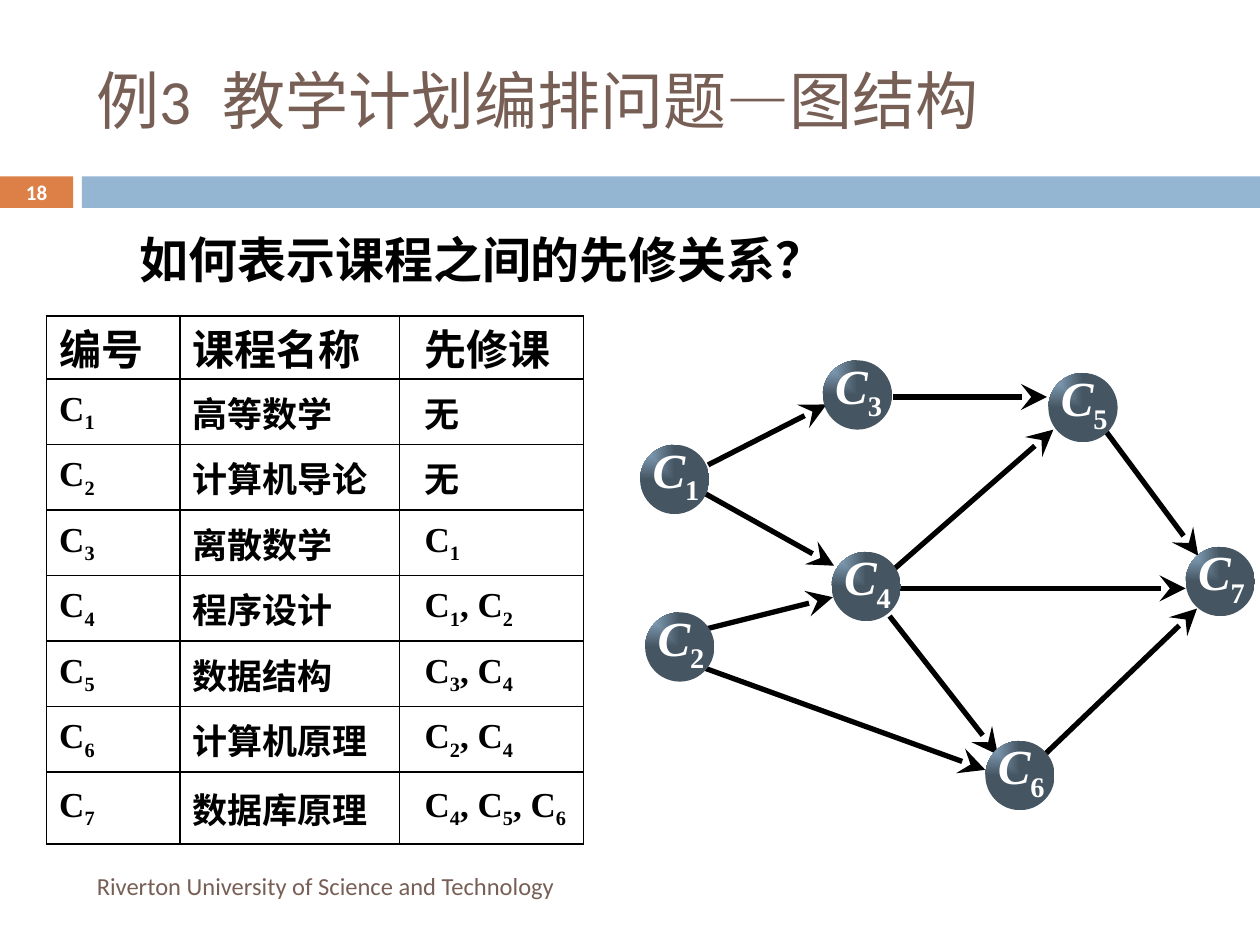
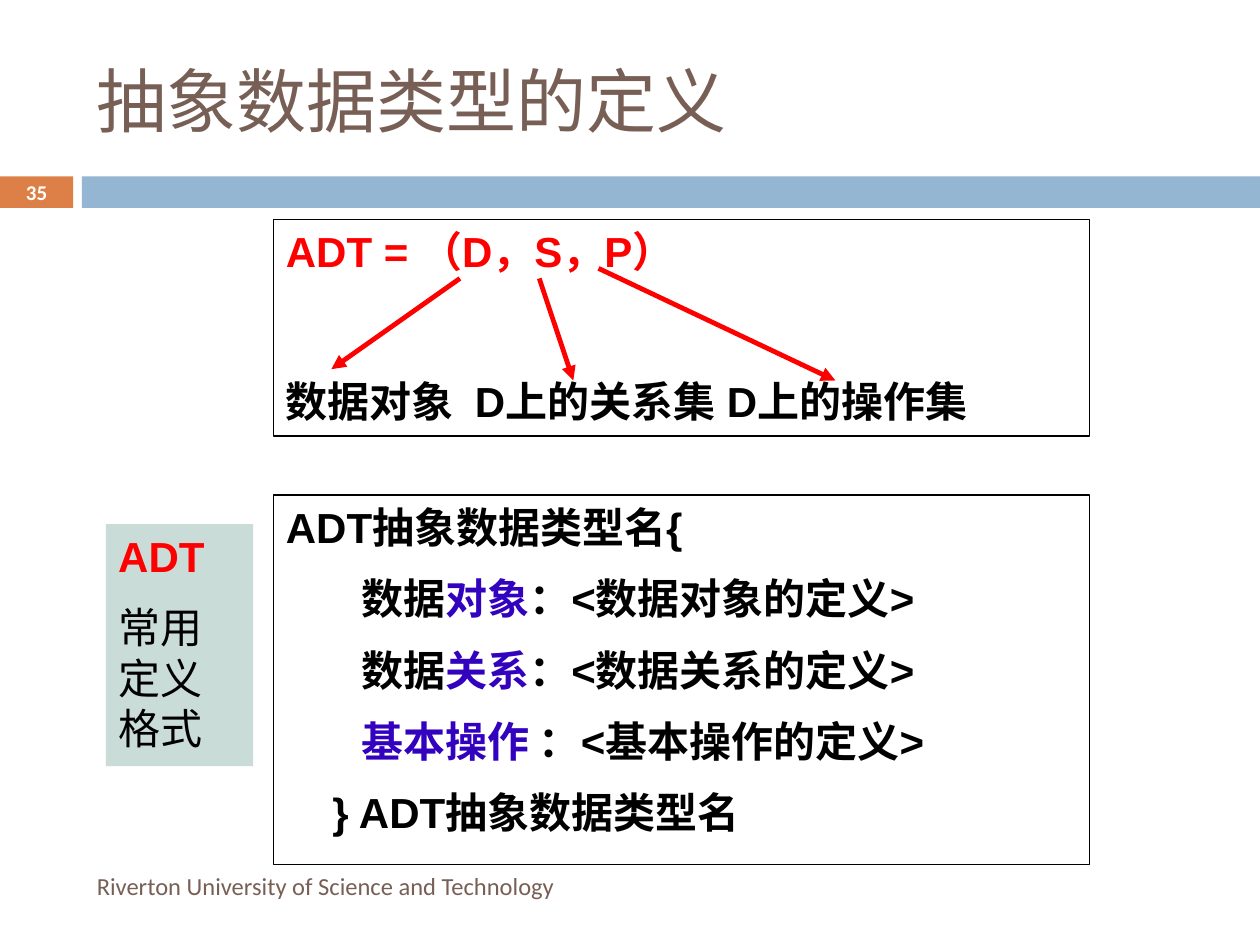
from dataclasses import dataclass
from itertools import groupby
from typing import NamedTuple

from lxml.etree import SubElement
from pptx import Presentation
from pptx.dml.color import RGBColor
from pptx.enum.shapes import MSO_CONNECTOR as Link, MSO_SHAPE as Preset
from pptx.enum.text import MSO_ANCHOR as Anchor, PP_ALIGN as Align
from pptx.oxml.ns import qn
from pptx.util import Inches, Pt

COLORS = {
    "brown": "775F55", "orange": "DD8047", "blue": "94B6D2", "slate": "455562",
    "mint": "CADCD8", "red": "FF0000", "violet": "3302BE",
    "black": "000000", "white": "FFFFFF",
}
FOOTER = "Riverton University of Science and Technology"

# Text formats
TITLE = {"name": "Calibri", "size": 40, "color": "brown"}
FOOT = {"name": "Calibri", "size": 14, "color": "brown"}
NUMBER = {"name": "Calibri", "size": 12, "bold": True, "color": "white"}
COURSE = {"name": "Times New Roman", "size": 20, "bold": True, "color": "black"}
HEADING = COURSE | {"size": 24}
QUESTION = COURSE | {"size": 28}
NODE = QUESTION | {"italic": True, "color": "white"}
ADT = {"name": "Arial", "size": 24, "bold": True, "color": "black"}
ADT_RED = ADT | {"color": "red"}
ADT_KEY = ADT | {"color": "violet"}


class Span(NamedTuple):
    text: str
    style: dict
    subscript: bool = False


@dataclass
class Para:
    spans: list[Span]
    before: float = 0
    indent: float = 0
    tabs: tuple[float, ...] = ()
    align: Align = Align.LEFT


@dataclass
class Box:
    left: float
    top: float
    width: float
    height: float
    fill: str | None = None
    line: str | None = None
    preset: Preset = Preset.RECTANGLE
    anchor: Anchor = Anchor.TOP

    def extent(self) -> list:
        return [Inches(v) for v in (self.left, self.top, self.width, self.height)]


class Arrow(NamedTuple):
    start: tuple[float, float]
    end: tuple[float, float]


class Course(NamedTuple):
    code: str
    name: str
    required: str


def rgb(color: str) -> RGBColor:
    return RGBColor.from_string(COLORS[color])


def subscripted(text: str, style: dict) -> list[Span]:
    """Set every digit of a course code as a subscript."""
    return [Span("".join(part), style | ({"italic": False} if low else {}), low)
            for low, part in groupby(text, str.isdigit)]


def write(frame, paras: list[Para]) -> None:
    for index, para in enumerate(paras):
        line = frame.paragraphs[0] if index == 0 else frame.add_paragraph()
        line.alignment = para.align
        line.space_before = Pt(para.before)
        props = line._p.get_or_add_pPr()
        props.set("marL", str(Inches(para.indent)))
        props.set("indent", "0")
        if para.tabs:
            stops = SubElement(props, qn("a:tabLst"))
            for stop in para.tabs:
                SubElement(stops, qn("a:tab"), pos=str(Inches(stop)), algn="l")
        for span in para.spans:
            run = line.add_run()
            run.text = span.text
            for key, value in span.style.items():
                if key == "color":
                    run.font.color.rgb = rgb(value)
                else:
                    setattr(run.font, key, Pt(value) if key == "size" else value)
            if span.subscript:
                run._r.get_or_add_rPr().set("baseline", "-25000")


def draw_box(slide, box: Box, paras: list[Para] = ()):
    shape = slide.shapes.add_shape(box.preset, *box.extent())
    shape.shadow.inherit = False
    if box.fill:
        shape.fill.solid()
        shape.fill.fore_color.rgb = rgb(box.fill)
    else:
        shape.fill.background()
    if box.line:
        shape.line.color.rgb = rgb(box.line)
        shape.line.width = Pt(0.75)
    else:
        shape.line.fill.background()
    shape.text_frame.word_wrap = True
    shape.text_frame.vertical_anchor = box.anchor
    write(shape.text_frame, paras)
    return shape


def draw_text(slide, box: Box, paras: list[Para]) -> None:
    frame = slide.shapes.add_textbox(*box.extent()).text_frame
    frame.word_wrap = True
    frame.vertical_anchor = box.anchor
    write(frame, paras)


def draw_arrow(slide, arrow: Arrow, color: str, width: float, head: str, size: str) -> None:
    ends = [Inches(v) for v in (*arrow.start, *arrow.end)]
    link = slide.shapes.add_connector(Link.STRAIGHT, *ends)
    link.line.color.rgb = rgb(color)
    link.line.width = Pt(width)
    SubElement(link.line._get_or_add_ln(), qn("a:tailEnd"), type=head, w=size, len=size)
    SubElement(link._element.spPr, qn("a:effectLst"))


def draw_node(slide, code: str, left: float, top: float) -> None:
    node = draw_box(slide, Box(left, top, 0.55, 0.55, preset=Preset.OVAL, anchor=Anchor.MIDDLE),
                    [Para(subscripted(code, NODE), align=Align.CENTER)])
    node.fill.gradient()
    for stop, color in zip(node.fill.gradient_stops, ("blue", "slate")):
        stop.color.rgb = rgb(color)
    gradient = node._element.spPr.find(qn("a:gradFill"))
    gradient.remove(gradient.find(qn("a:lin")))
    focus = SubElement(gradient, qn("a:path"), path="rect")
    SubElement(focus, qn("a:fillToRect"), r="100000", b="100000")
    frame = node.text_frame
    frame.word_wrap = False
    for side, margin in {"left": 0.02, "right": 0, "top": 0, "bottom": 0.1}.items():
        setattr(frame, f"margin_{side}", Inches(margin))


def border(cell) -> None:
    props = cell._tc.get_or_add_tcPr()
    for side in ("lnL", "lnR", "lnT", "lnB"):
        edge = SubElement(props, qn(f"a:{side}"), w=str(Pt(1)))
        SubElement(SubElement(edge, qn("a:solidFill")), qn("a:srgbClr"), val=COLORS["black"])


def draw_courses(slide, courses: list[Course]) -> None:
    widths = (1.06, 1.74, 1.46)
    heights = [0.5] + [0.52] * (len(courses) - 2) + [0.57]
    area = Box(0.37, 2.51, sum(widths), sum(heights))
    table = slide.shapes.add_table(len(courses), len(widths), *area.extent()).table
    table.first_row = table.horz_banding = False
    for column, width in zip(table.columns, widths):
        column.width = Inches(width)
    for index, (row, course) in enumerate(zip(table.rows, courses)):
        row.height = Inches(heights[index])
        style = HEADING if index == 0 else COURSE
        for cell, text, inset in zip(row.cells, course, (0.1, 0.1, 0.2)):
            border(cell)
            cell.fill.background()
            cell.vertical_anchor = Anchor.MIDDLE
            cell.margin_left = Inches(inset)
            cell.margin_top = cell.margin_bottom = cell.margin_right = 0
            write(cell.text_frame, [Para(subscripted(text, style))])


def start_slide(deck, title: Para, number: int):
    """Add a blank slide with its title, bands, page number and footer."""
    slide = deck.slides.add_slide(deck.slide_layouts[6])
    draw_box(slide, Box(0, 1.4, 0.58, 0.25, "orange", anchor=Anchor.MIDDLE),
             [Para([Span(str(number), NUMBER)], align=Align.CENTER)])
    draw_box(slide, Box(0.65, 1.4, 9.35, 0.25, "blue"))
    draw_text(slide, Box(0.67, 0.25, 8.92, 1.08, anchor=Anchor.MIDDLE), [title])
    draw_text(slide, Box(0.67, 6.83, 5.93, 0.4, anchor=Anchor.MIDDLE),
              [Para([Span(FOOTER, FOOT)])])
    return slide


# Course plan: table and prerequisite graph
COURSES = [
    Course("编号", "课程名称", "先修课"),
    Course("C1", "高等数学", "无"),
    Course("C2", "计算机导论", "无"),
    Course("C3", "离散数学", "C1"),
    Course("C4", "程序设计", "C1, C2"),
    Course("C5", "数据结构", "C3, C4"),
    Course("C6", "计算机原理", "C2, C4"),
    Course("C7", "数据库原理", "C4, C5, C6"),
]
NODES = {
    "C1": (5.08, 3.53), "C2": (5.12, 4.86), "C3": (6.53, 2.86), "C4": (6.6, 4.38),
    "C6": (7.82, 5.88), "C5": (8.32, 2.96), "C7": (9.41, 4.34),
}
PREREQUISITES = [
    Arrow((8.29, 5.99), (9.5, 4.83)),
    Arrow((8.76, 3.4), (9.51, 4.41)),
    Arrow((7.09, 3.15), (8.31, 3.15)),
    Arrow((7.08, 4.53), (8.36, 3.41)),
    Arrow((7.06, 4.89), (7.92, 5.99)),
    Arrow((7.11, 4.67), (9.41, 4.67)),
    Arrow((5.62, 3.69), (6.56, 3.21)),
    Arrow((5.53, 5.28), (7.82, 6.11)),
    Arrow((5.61, 4.99), (6.61, 4.74)),
    Arrow((5.6, 3.92), (6.62, 4.49)),
]


def course_plan(deck) -> None:
    title = Para([Span("例3\t教学计划编排问题—图结构", TITLE | {"size": 36})], tabs=(1.23,))
    slide = start_slide(deck, title, 18)
    draw_courses(slide, COURSES)
    for arrow in PREREQUISITES:
        draw_arrow(slide, arrow, "black", 3, "stealth", "lg")
    for code, corner in NODES.items():
        draw_node(slide, code, *corner)
    draw_text(slide, Box(1.01, 1.77, 7.83, 0.57),
              [Para([Span("如何表示课程之间的先修关系？", QUESTION)])])


# Abstract data type: triple and definition format
TRIPLE_ARROWS = [
    Arrow((3.65, 2.21), (2.63, 2.93)),
    Arrow((4.28, 2.21), (4.55, 3.02)),
    Arrow((4.75, 2.13), (6.63, 3.02)),
]


def abstract_type(deck) -> None:
    slide = start_slide(deck, Para([Span("抽象数据类型的定义", TITLE)]), 35)
    gap = 12
    draw_box(slide, Box(2.17, 1.74, 6.48, 1.72, line="black"), [
        Para([Span("ADT = （D，S，P）", ADT_RED)]),
        Para([Span("数据对象\tD上的关系集\tD上的操作集", ADT)], before=57, tabs=(1.64, 4.01)),
    ])
    members = [
        ("数据", "对象", "：<数据对象的定义>"),
        ("数据", "关系", "：<数据关系的定义>"),
        ("", "基本操作 ", "：<基本操作的定义>"),
    ]
    draw_box(slide, Box(2.17, 3.93, 6.48, 2.93, line="black"), [
        Para([Span("ADT抽象数据类型名{", ADT)]),
        *[Para([Span(text, style) for text, style in zip(member, (ADT, ADT_KEY, ADT)) if text],
               before=gap, indent=0.6) for member in members],
        Para([Span("} ADT抽象数据类型名", ADT)], before=gap, indent=0.37),
    ])
    draw_box(slide, Box(0.84, 4.16, 1.17, 1.92, "mint"), [
        Para([Span("ADT", ADT_RED)]),
        Para([Span("常用定义格式", ADT | {"bold": False})], before=gap),
    ])
    for arrow in TRIPLE_ARROWS:
        draw_arrow(slide, arrow, "red", 2.75, "triangle", "med")


def main() -> None:
    deck = Presentation()
    deck.slide_width, deck.slide_height = Inches(10), Inches(7.5)
    course_plan(deck)
    abstract_type(deck)
    deck.save("out.pptx")


if __name__ == "__main__":
    main()
